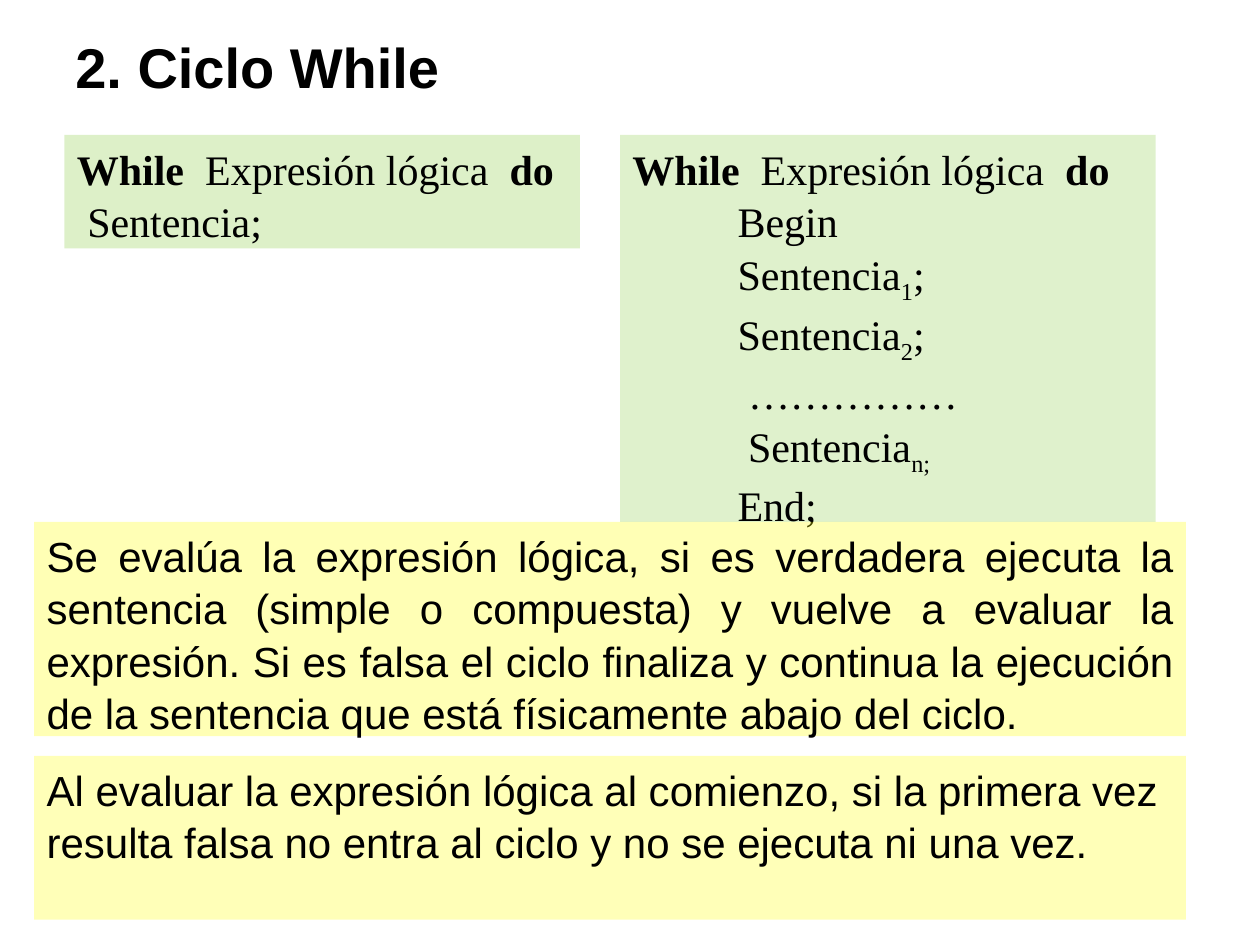
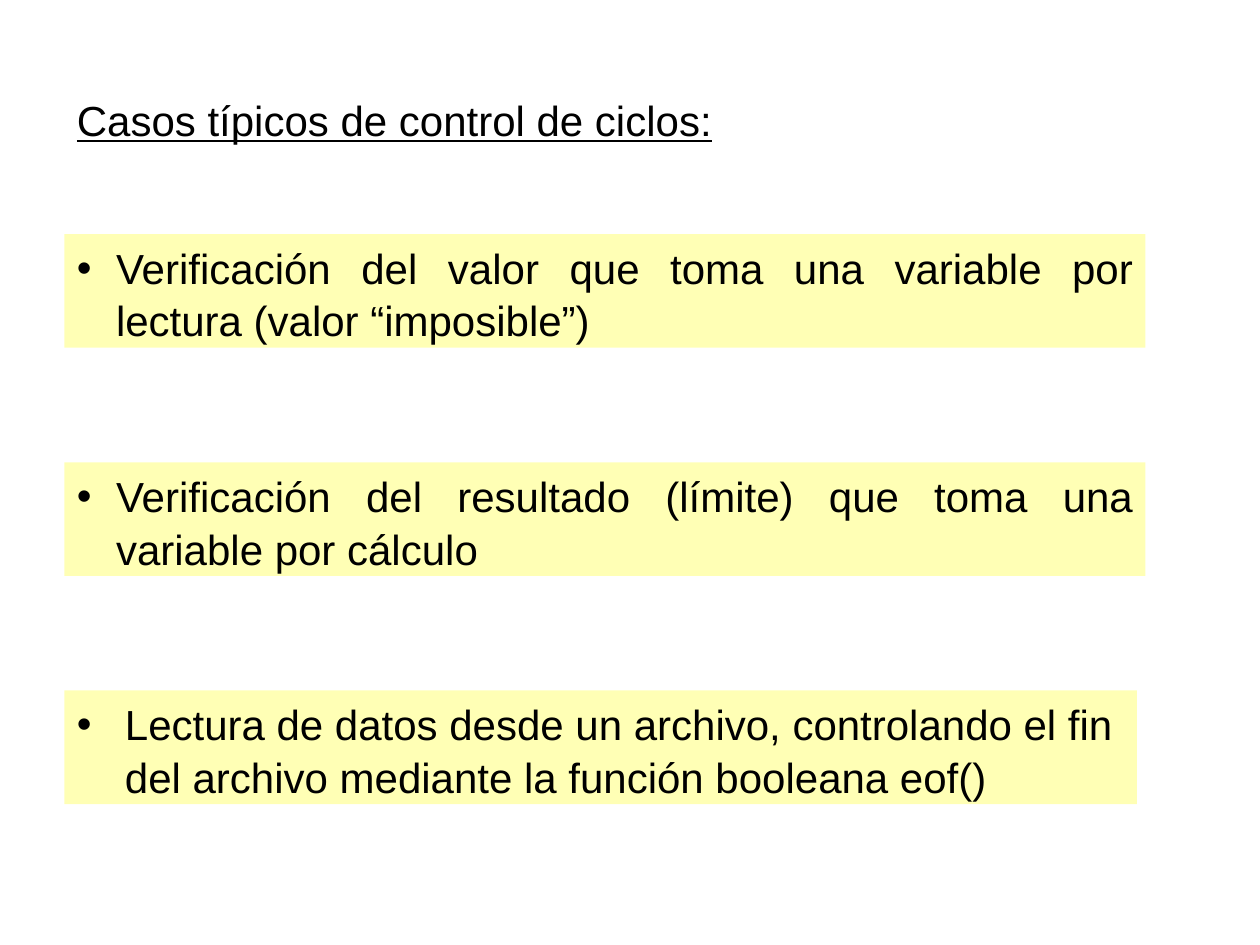
from dataclasses import dataclass

from lxml import etree
from pptx import Presentation
from pptx.dml.color import RGBColor
from pptx.enum.shapes import MSO_SHAPE as SHAPE
from pptx.enum.text import MSO_ANCHOR as ANCHOR, PP_ALIGN as ALIGN
from pptx.oxml.ns import qn
from pptx.util import Cm, Pt


@dataclass(frozen=True)
class Theme:
    ink: str = "000000"
    code_fill: str = "92D050"
    note_fill: str = "FFFF00"
    sans: str = "Arial"
    serif: str = "Times New Roman"
    title_size: int = 32
    body_size: int = 24
    line_spacing: float = 1.04
    subscript: str = "-25000"


THEME = Theme()

# Content: a line is (indent in cm, runs); a run is (text, style)
TITLE = "2. Ciclo While"
WHILE_LINE = (0, [("While", "b"), ("  Expresión lógica  ", ""), ("do", "b")])
STEP, DEEP_STEP = 2.12, 2.33
SIMPLE_CODE = [WHILE_LINE, (0.21, [("Sentencia;", "")])]
COMPOUND_CODE = [
    WHILE_LINE,
    (STEP, [("Begin", "")]),
    (STEP, [("Sentencia", ""), ("1", "sub"), (";", "")]),
    (STEP, [("Sentencia", ""), ("2", "sub"), (";", "")]),
    (DEEP_STEP, [("……………", "")]),
    (DEEP_STEP, [("Sentencia", ""), ("n;", "sub")]),
    (STEP, [("End;", "")]),
]
# (left, width, height, opacity %, lines)
CODE_BOXES = [
    (1.3, 10.39, 2.29, 31, SIMPLE_CODE),
    (12.5, 10.8, 7.8, 29, COMPOUND_CODE),
]
# (top, height, opacity %, alignment, text)
NOTES = [
    (10.52, 4.32, 29, ALIGN.JUSTIFY,
     "Se evalúa la expresión lógica, si es verdadera ejecuta la sentencia "
     "(simple o compuesta) y vuelve a evaluar la expresión. Si es falsa el "
     "ciclo finaliza y continua la ejecución de la sentencia que está "
     "físicamente abajo del ciclo."),
    (15.24, 3.3, 28, ALIGN.LEFT,
     "Al evaluar la expresión lógica al comienzo, si la primera vez "
     "resulta falsa no entra al ciclo y no se ejecuta ni una vez."),
]
CASES_HEADING = "Casos típicos de control de ciclos:"
# (width, hanging indent, alignment, text)
CASES = [
    (21.79, 0.79, ALIGN.JUSTIFY,
     "Verificación del valor que toma una variable por lectura "
     "(valor “imposible”)"),
    (21.79, 0.79, ALIGN.JUSTIFY,
     "Verificación del resultado (límite) que toma una variable por cálculo"),
    (21.62, 0.97, ALIGN.LEFT,
     "Lectura de datos desde un archivo, controlando el fin del archivo "
     "mediante la función booleana eof()"),
]
LEFT, CODE_TOP = 1.3, 2.72
CASES_TOP, CASES_STEP = 4.72, 4.6


def frame(sp, anchor=ANCHOR.TOP):
    tf = sp.text_frame
    tf.word_wrap = True
    tf.vertical_anchor = anchor
    tf.margin_left = tf.margin_right = Cm(0.25)
    tf.margin_top = tf.margin_bottom = Cm(0.13)
    return tf


def add_text_box(slide, left, top, width, height, anchor=ANCHOR.TOP):
    sp = slide.shapes.add_textbox(Cm(left), Cm(top), Cm(width), Cm(height))
    return frame(sp, anchor)


def add_panel(slide, left, top, width, height, color, opacity):
    """Add a translucent rectangle and return its text frame."""
    sp = slide.shapes.add_shape(SHAPE.RECTANGLE, Cm(left), Cm(top),
                                Cm(width), Cm(height))
    sp.shadow.inherit = False
    sp.line.fill.background()
    sp.fill.solid()
    sp.fill.fore_color.rgb = RGBColor.from_string(color)
    clr = sp.fill._xPr.find(".//" + qn("a:srgbClr"))
    etree.SubElement(clr, qn("a:alpha")).set("val", str(opacity * 1000))
    return frame(sp)


def add_run(p, text, style="", font=THEME.sans, size=THEME.body_size):
    r = p.add_run()
    r.text = text
    r.font.name = font
    r.font.size = Pt(size)
    r.font.color.rgb = RGBColor.from_string(THEME.ink)
    r.font.bold = style == "b"
    r.font.underline = style == "u"
    if style == "sub":
        r.font._element.set("baseline", THEME.subscript)


def set_paragraph(p, align=ALIGN.LEFT, indent=0, bullet=False):
    p.alignment = align
    p.line_spacing = THEME.line_spacing
    pPr = p._p.get_or_add_pPr()
    pPr.set("marL", str(Cm(indent)))
    pPr.set("indent", str(-Cm(indent) if bullet else 0))
    if bullet:
        etree.SubElement(pPr, qn("a:buFont")).set("typeface", THEME.sans)
        etree.SubElement(pPr, qn("a:buChar")).set("char", "•")


def write(tf, text, style="", size=THEME.body_size, **layout):
    p = tf.paragraphs[0]
    set_paragraph(p, **layout)
    add_run(p, text, style, size=size)


def write_code(tf, lines):
    for i, (indent, runs) in enumerate(lines):
        p = tf.add_paragraph() if i else tf.paragraphs[0]
        set_paragraph(p, indent=indent)
        for text, style in runs:
            add_run(p, text, style, THEME.serif)


def build_while_slide(slide):
    tf = add_text_box(slide, 1.27, 0.13, 22.86, 2.36, ANCHOR.MIDDLE)
    write(tf, TITLE, "b", THEME.title_size)
    # Syntax of both forms
    for left, width, height, opacity, lines in CODE_BOXES:
        tf = add_panel(slide, left, CODE_TOP, width, height,
                       THEME.code_fill, opacity)
        write_code(tf, lines)
    # Explanations
    for top, height, opacity, align, text in NOTES:
        tf = add_panel(slide, 0.69, top, 23.22, height,
                       THEME.note_fill, opacity)
        write(tf, text, align=align)


def build_cases_slide(slide):
    write(add_text_box(slide, LEFT, 1.73, 15.39, 1.27), CASES_HEADING, "u")
    # Evenly spaced cases
    for i, (width, indent, align, text) in enumerate(CASES):
        tf = add_panel(slide, LEFT, CASES_TOP + i * CASES_STEP, width, 2.29,
                       THEME.note_fill, 29)
        write(tf, text, align=align, indent=indent, bullet=True)


def main():
    prs = Presentation()
    prs.slide_width, prs.slide_height = Cm(25.4), Cm(19.05)
    for build in (build_while_slide, build_cases_slide):
        build(prs.slides.add_slide(prs.slide_layouts[6]))
    prs.save("out.pptx")


if __name__ == "__main__":
    main()
